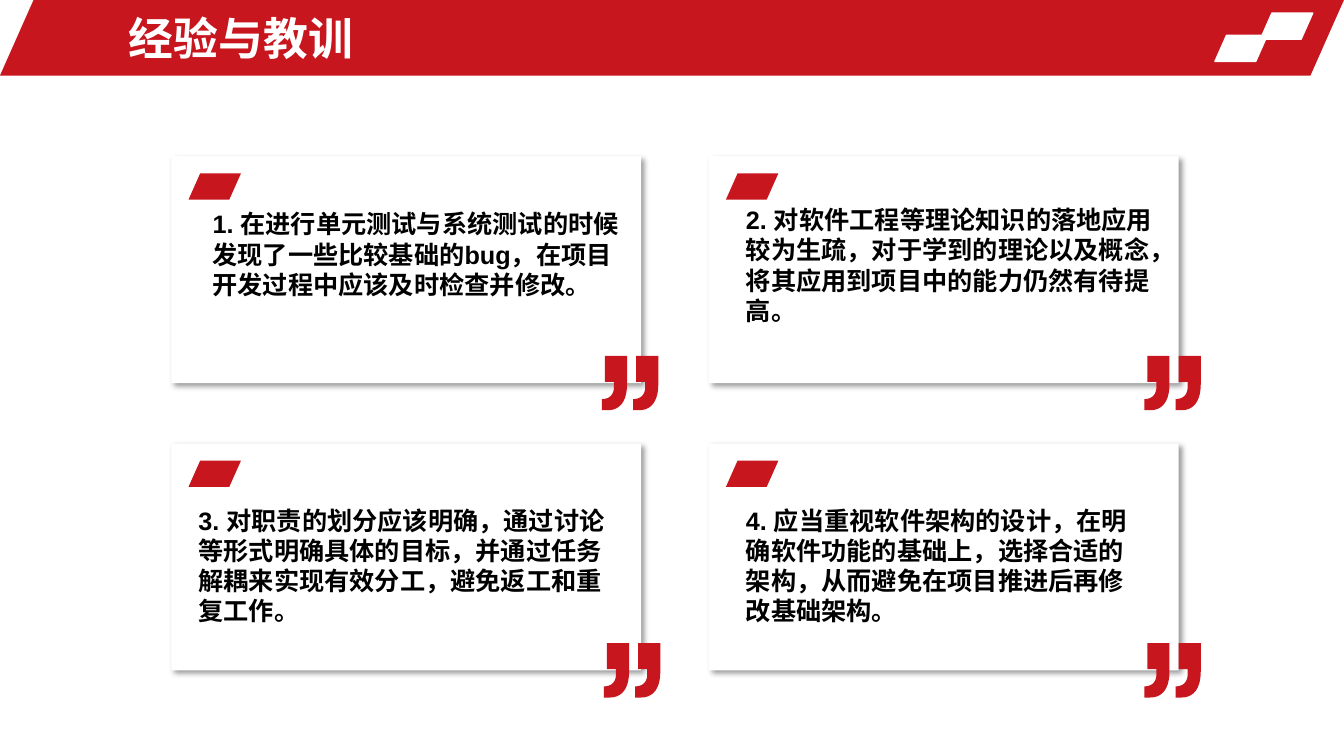
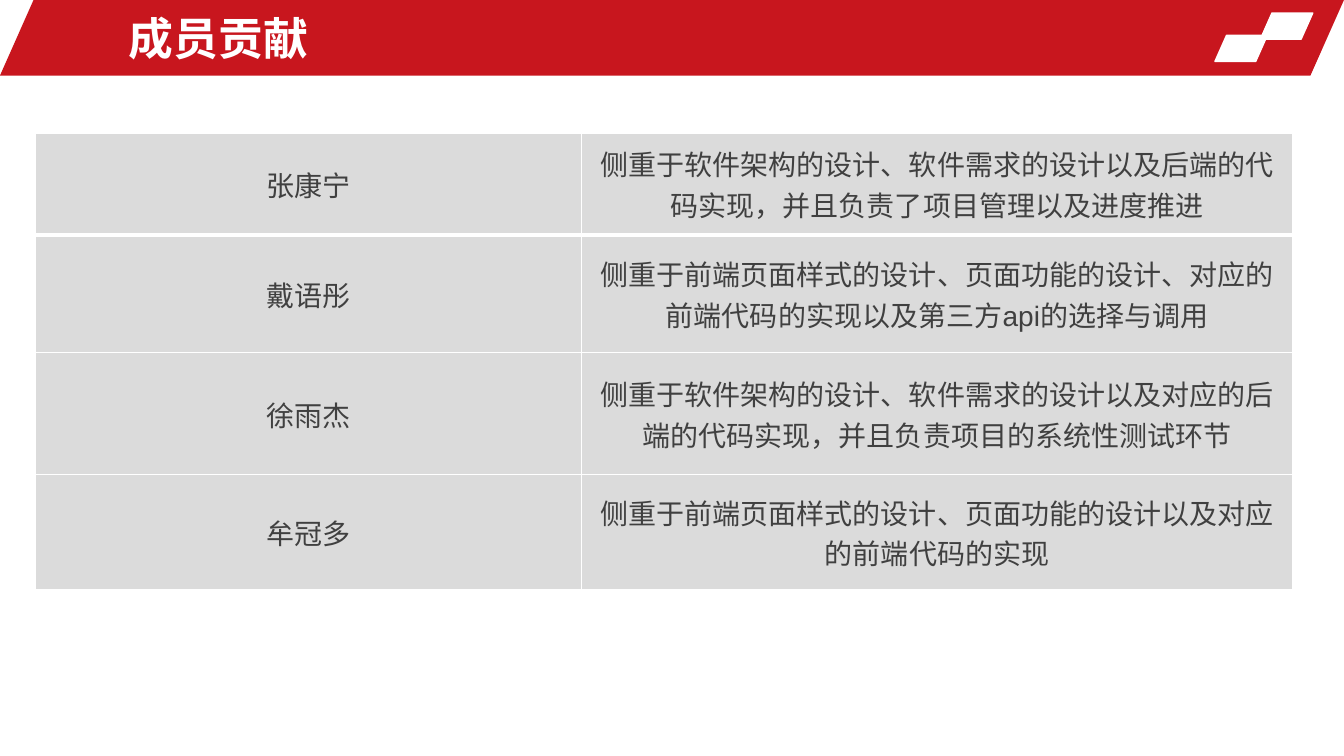
from lxml.etree import SubElement
from pptx import Presentation
from pptx.dml.color import RGBColor
from pptx.enum.shapes import MSO_SHAPE
from pptx.enum.text import MSO_ANCHOR, PP_ALIGN
from pptx.oxml import parse_xml
from pptx.oxml.ns import nsdecls, qn
from pptx.util import Emu, Pt

PX = 9144
SLIDE_WIDTH, SLIDE_HEIGHT = 1333, 750
BAND_HEIGHT = 75
SLANT = 0.444
FONT = "Arial"
RED = RGBColor(0xC8, 0x16, 0x1E)
WHITE = RGBColor(0xFF, 0xFF, 0xFF)
BLACK = RGBColor(0x00, 0x00, 0x00)
GRAY_TEXT = RGBColor(0x40, 0x40, 0x40)
GRAY_FILL = RGBColor(0xDB, 0xDB, 0xDB)

CARD_WIDTH, CARD_HEIGHT = 466, 225
CARD_LEFT, CARD_TOP = 170, 155
CARD_STEP_X, CARD_STEP_Y = 533, 285
QUOTE_DROP = 198
QUOTE_STEP = 31

CARDS = [
    ("1. 在进行单元测试与系统测试的时候发现了一些比较基础的bug，在项目开发过程中应该及时检查并修改。",
     (31, 47, 424, 101), 427),
    ("2. 对软件工程等理论知识的落地应用较为生疏，对于学到的理论以及概念，将其应用到项目中的能力仍然有待提高。",
     (27, 43, 439, 182), 432),
    ("3. 对职责的划分应该明确，通过讨论等形式明确具体的目标，并通过任务解耦来实现有效分工，避免返工和重复工作。",
     (17, 56, 424, 131), 429),
    ("4. 应当重视软件架构的设计，在明确软件功能的基础上，选择合适的架构，从而避免在项目推进后再修改基础架构。",
     (27, 56, 412, 151), 432),
]

MEMBERS = [
    ("张康宁", "侧重于软件架构的设计、软件需求的设计以及后端的代码实现，并且负责了项目管理以及进度推进"),
    ("戴语彤", "侧重于前端页面样式的设计、页面功能的设计、对应的前端代码的实现以及第三方api的选择与调用"),
    ("徐雨杰", "侧重于软件架构的设计、软件需求的设计以及对应的后端的代码实现，并且负责项目的系统性测试环节"),
    ("牟冠多", "侧重于前端页面样式的设计、页面功能的设计以及对应的前端代码的实现"),
]
COLUMN_WIDTHS = (542, 705)
ROW_HEIGHTS = (101, 117, 121, 114)


def px(*lengths):
    return [Emu(round(length * PX)) for length in lengths]


def write_text(frame, text, size, color, bold=False, align=PP_ALIGN.LEFT, line_spacing=None):
    frame.word_wrap = True
    paragraph = frame.paragraphs[0]
    paragraph.alignment = align
    if line_spacing:
        paragraph.line_spacing = Pt(line_spacing)
    run = paragraph.add_run()
    run.text = text
    run.font.name = FONT
    run.font.size = Pt(size)
    run.font.bold = bold
    run.font.color.rgb = color


def add_text(slide, box, text, anchor=MSO_ANCHOR.TOP, **text_format):
    frame = slide.shapes.add_textbox(*px(*box)).text_frame
    frame.vertical_anchor = anchor
    write_text(frame, text, **text_format)


def paint(shape, fill, line=None):
    shape.shadow.inherit = False
    shape.fill.solid()
    shape.fill.fore_color.rgb = fill
    if line is None:
        shape.line.fill.background()
    else:
        shape.line.color.rgb = line
        shape.line.width = Pt(1)


def add_parallelogram(slide, box, fill, line=None):
    shape = slide.shapes.add_shape(MSO_SHAPE.PARALLELOGRAM, *px(*box))
    shape.adjustments[0] = SLANT
    paint(shape, fill, line)


def add_header(slide, title):
    add_parallelogram(slide, (0, 0, SLIDE_WIDTH, BAND_HEIGHT), RED)
    for left, top in ((1250, 13), (1205, 35)):
        add_parallelogram(slide, (left, top, 52, 26), WHITE, line=WHITE)
    add_text(slide, (118, 5, 774, 65), title, anchor=MSO_ANCHOR.MIDDLE,
             size=32, color=WHITE, bold=True)


def add_drop_shadow(shape):
    effects = shape.element.spPr.find(qn("a:effectLst"))
    shadow = SubElement(effects, qn("a:outerShdw"), blurRad=str(Pt(4)), dist=str(Pt(3)),
                        dir="2700000", algn="tl", rotWithShape="0")
    color = SubElement(shadow, qn("a:srgbClr"), val=str(BLACK))
    SubElement(color, qn("a:alpha"), val="40000")


def curve(start, first, second, end, steps=10):
    points = []
    for step in range(1, steps + 1):
        t = step / steps
        weights = ((1 - t) ** 3, 3 * t * (1 - t) ** 2, 3 * t * t * (1 - t), t ** 3)
        points.append(tuple(sum(weight * point[axis] for weight, point
                                in zip(weights, (start, first, second, end)))
                            for axis in (0, 1)))
    return points


def quote_outline():
    return [(3, 0), (25, 0), (25, 28),
            *curve((25, 28), (25, 45), (18, 54), (6, 54)),
            (0, 54), (0, 43),
            *curve((0, 43), (8, 43), (12, 38), (12, 31)),
            (12, 26), (3, 26)]


def add_closing_quote(slide, left, top):
    builder = None
    for shift in (0, QUOTE_STEP):
        points = [px(left + shift + x, top + y) for x, y in quote_outline()]
        if builder is None:
            builder = slide.shapes.build_freeform(*points[0], scale=1.0)
        else:
            builder.move_to(*points[0])
        builder.add_line_segments(points[1:], close=True)
    paint(builder.convert_to_shape(), RED)


def add_card(slide, left, top, text, text_box, quote_shift):
    card = slide.shapes.add_shape(MSO_SHAPE.RECTANGLE, *px(left, top, CARD_WIDTH, CARD_HEIGHT))
    paint(card, WHITE)
    add_drop_shadow(card)
    add_parallelogram(slide, (left + 17, top + 17, 52, 26), RED)
    text_left, text_top, width, height = text_box
    add_text(slide, (left + text_left, top + text_top, width, height), text,
             size=18, color=BLACK, bold=True, line_spacing=21.6)
    add_closing_quote(slide, left + quote_shift, top + QUOTE_DROP)


def set_borders(cell, **widths):
    properties = cell._tc.get_or_add_tcPr()
    for index, side in enumerate("LRTB"):
        width = Pt(widths.get(side, 1))
        properties.insert(index, parse_xml(
            f'<a:ln{side} {nsdecls("a")} w="{width}"><a:solidFill>'
            f'<a:srgbClr val="{WHITE}"/></a:solidFill></a:ln{side}>'))


def add_member_table(slide, left, top):
    table = slide.shapes.add_table(
        len(MEMBERS), len(COLUMN_WIDTHS),
        *px(left, top, sum(COLUMN_WIDTHS), sum(ROW_HEIGHTS))).table
    for column, width in zip(table.columns, px(*COLUMN_WIDTHS)):
        column.width = width
    for row, height in zip(table.rows, px(*ROW_HEIGHTS)):
        row.height = height
    for row_index, member in enumerate(MEMBERS):
        widths = {0: {"B": 3}, 1: {"T": 3}}.get(row_index, {})
        for column_index, text in enumerate(member):
            cell = table.cell(row_index, column_index)
            cell.vertical_anchor = MSO_ANCHOR.MIDDLE
            cell.fill.solid()
            cell.fill.fore_color.rgb = GRAY_FILL
            set_borders(cell, **widths)
            write_text(cell.text_frame, text, size=20, color=GRAY_TEXT, align=PP_ALIGN.CENTER)


def build_lessons(slide):
    add_header(slide, "经验与教训")
    for index, card in enumerate(CARDS):
        row, column = divmod(index, 2)
        add_card(slide, CARD_LEFT + column * CARD_STEP_X, CARD_TOP + row * CARD_STEP_Y, *card)


def build_contributions(slide):
    add_header(slide, "成员贡献")
    add_member_table(slide, 35, 132)


def main():
    presentation = Presentation()
    presentation.slide_width, presentation.slide_height = px(SLIDE_WIDTH, SLIDE_HEIGHT)
    for build in (build_lessons, build_contributions):
        build(presentation.slides.add_slide(presentation.slide_layouts[6]))
    presentation.save("out.pptx")


if __name__ == "__main__":
    main()
